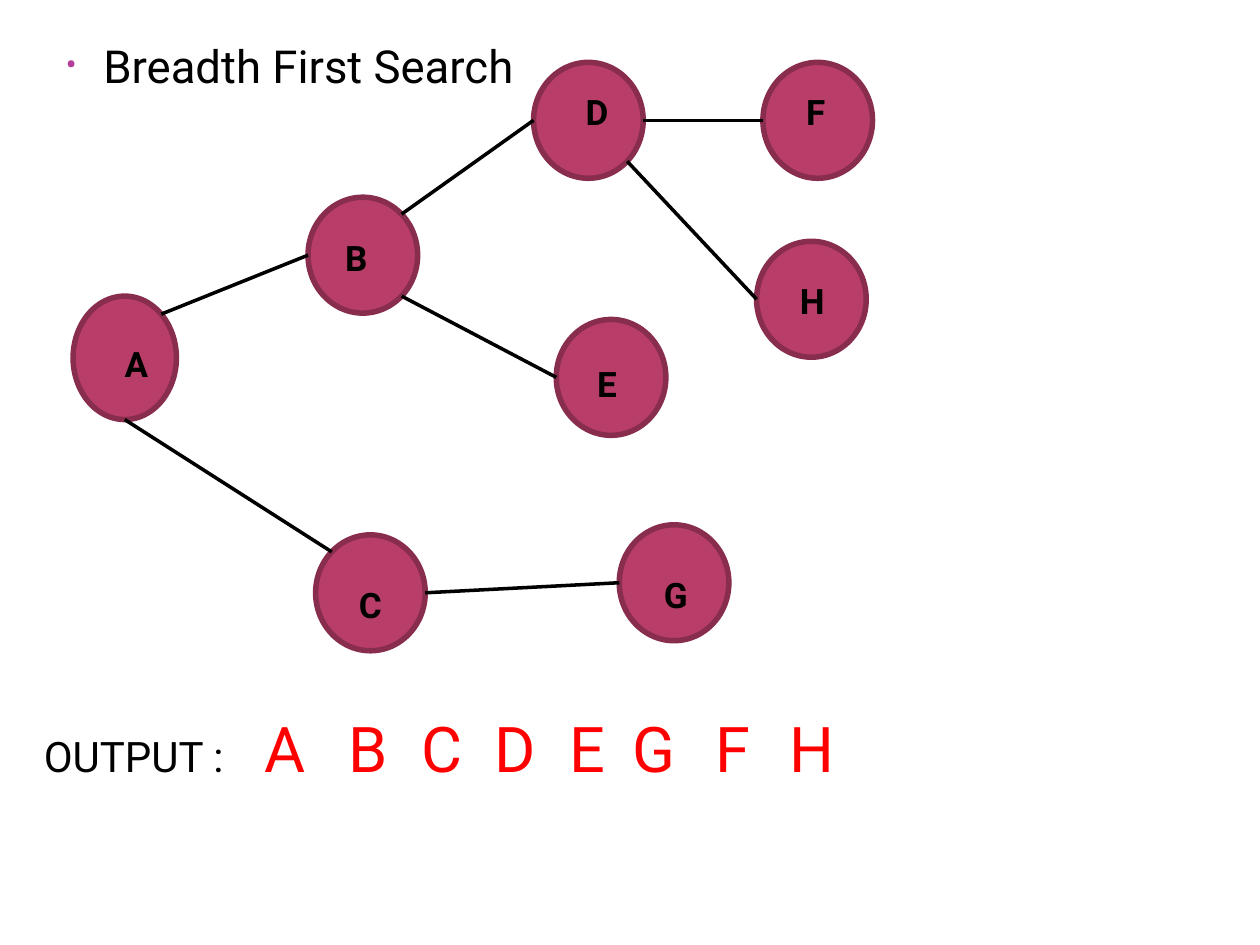
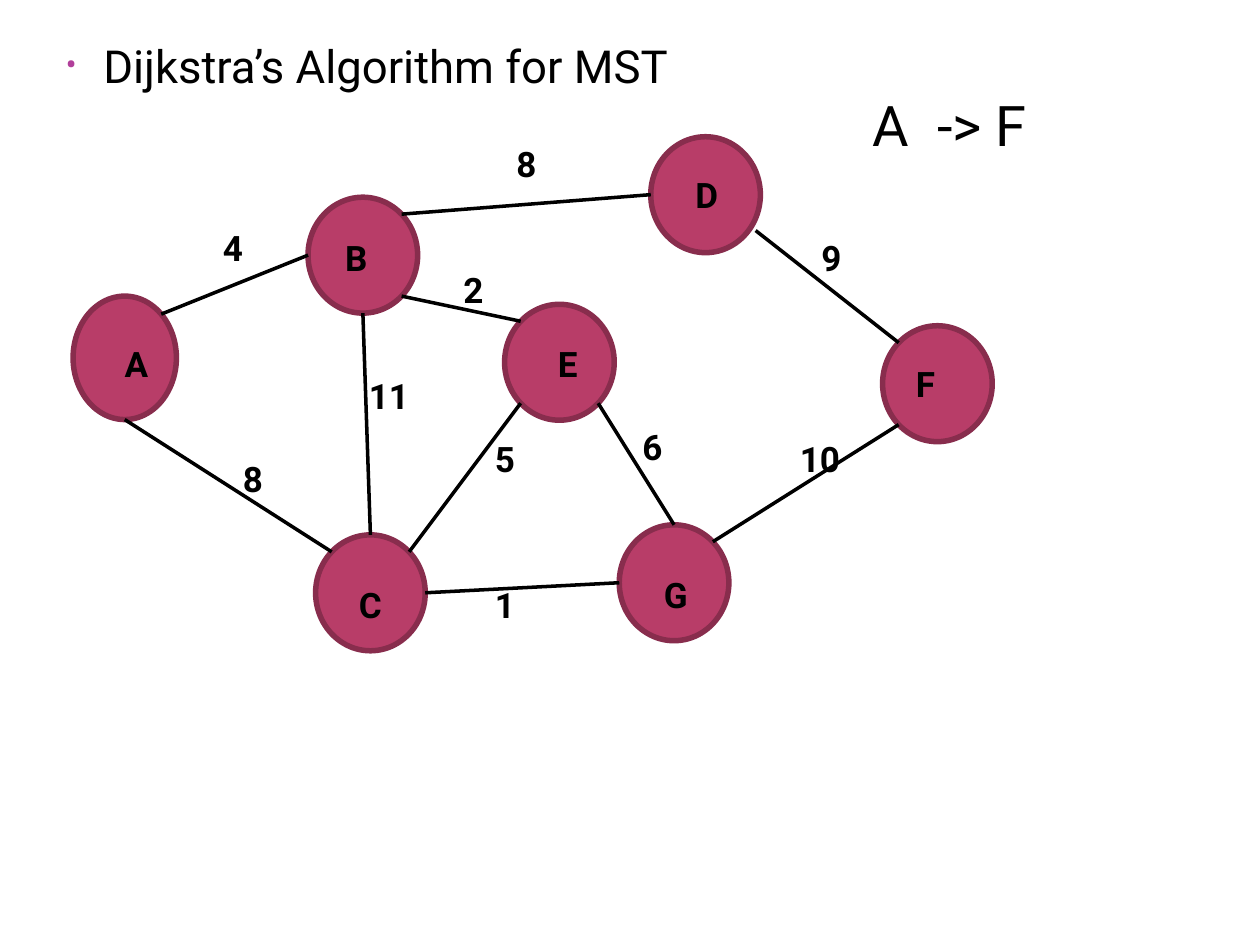
from dataclasses import dataclass
from math import copysign, sqrt

from lxml import etree
from pptx import Presentation
from pptx.dml.color import RGBColor
from pptx.enum.shapes import MSO_CONNECTOR, MSO_SHAPE
from pptx.enum.text import MSO_ANCHOR, MSO_AUTO_SIZE
from pptx.oxml.ns import qn
from pptx.util import Inches, Pt

ELLIPSE = MSO_SHAPE.OVAL
STRAIGHT = MSO_CONNECTOR.STRAIGHT
TOP = MSO_ANCHOR.TOP
NO_FIT = MSO_AUTO_SIZE.NONE
GROW = MSO_AUTO_SIZE.SHAPE_TO_FIT_TEXT

FONT = "Roboto"
COLORS = {
    "node": "B83D68",
    "rim": "882D4D",
    "ink": "000000",
    "bullet": "B13F9A",
    "visited": "FF0000",
}
SITES = {
    "N": (0, -1), "NE": (1, -1), "E": (1, 0), "SE": (1, 1),
    "S": (0, 1), "SW": (-1, 1), "W": (-1, 0), "NW": (-1, -1),
}


@dataclass(frozen=True)
class Node:
    left: float
    top: float
    label_left: float
    label_top: float
    width: float = 0.92
    height: float = 0.87
    rotation: int = 270

    def site(self, name: str) -> tuple[float, float]:
        dx, dy = SITES[name]
        reach = 0.5 / sqrt(abs(dx) + abs(dy))
        across, down = self.width, self.height
        if self.rotation:
            across, down = down, across
        return (self.left + self.width / 2 + copysign(reach, dx) * abs(dx) * across,
                self.top + self.height / 2 + copysign(reach, dy) * abs(dy) * down)


@dataclass(frozen=True)
class Edge:
    start: str
    start_site: str
    end: str
    end_site: str
    nudge: tuple[float, float] = (0, 0)


@dataclass(frozen=True)
class Label:
    text: str
    left: float
    top: float
    width: float = 0.37
    height: float = 0.44
    size: int = 20
    bold: bool = True
    color: str = "ink"
    wrap: bool = False


def rgb(name: str) -> RGBColor:
    return RGBColor.from_string(COLORS[name])


def style_text(p, size: int, color: str, bold: bool) -> None:
    for r in p.runs:
        r.font.name = FONT
        r.font.size = Pt(size)
        r.font.bold = bold
        r.font.color.rgb = rgb(color)


def add_bullet(p) -> None:
    pPr = p._p.get_or_add_pPr()
    pPr.set("marL", str(Inches(0.3)))
    pPr.set("indent", str(Inches(-0.3)))
    buClr = etree.SubElement(pPr, qn("a:buClr"))
    etree.SubElement(buClr, qn("a:srgbClr"), val=COLORS["bullet"])
    etree.SubElement(pPr, qn("a:buSzPct"), val="73000")
    etree.SubElement(pPr, qn("a:buFont"), typeface=FONT)
    etree.SubElement(pPr, qn("a:buChar"), char="•")


def add_topic_slide(prs, topic: str):
    s = prs.slides.add_slide(prs.slide_layouts[1])
    title = s.shapes.title._element
    title.getparent().remove(title)
    body = s.placeholders[1]
    body.left, body.top = Inches(0.42), Inches(0.25)
    body.width, body.height = Inches(6.92), Inches(6.81)
    tf = body.text_frame
    tf.text = topic
    tf.auto_size = NO_FIT
    tf.vertical_anchor = TOP
    p = tf.paragraphs[0]
    p.space_before = Pt(6)
    add_bullet(p)
    style_text(p, 26, "ink", False)
    return s


def add_label(s, label: Label) -> None:
    sp = s.shapes.add_textbox(Inches(label.left), Inches(label.top),
                              Inches(label.width), Inches(label.height))
    tf = sp.text_frame
    tf.text = label.text
    tf.word_wrap = label.wrap
    tf.auto_size = GROW
    style_text(tf.paragraphs[0], label.size, label.color, label.bold)


def add_node(s, node: Node) -> None:
    sp = s.shapes.add_shape(ELLIPSE, Inches(node.left), Inches(node.top),
                            Inches(node.width), Inches(node.height))
    sp.rotation = node.rotation
    sp.shadow.inherit = False
    sp.fill.solid()
    sp.fill.fore_color.rgb = rgb("node")
    sp.line.color.rgb = rgb("rim")
    sp.line.width = Pt(3.15)


def add_edge(s, nodes: dict[str, Node], edge: Edge) -> None:
    x1, y1 = nodes[edge.start].site(edge.start_site)
    x2, y2 = nodes[edge.end].site(edge.end_site)
    dx, dy = edge.nudge
    line = s.shapes.add_connector(STRAIGHT, Inches(x1 + dx), Inches(y1 + dy),
                                  Inches(x2), Inches(y2))
    line.line.color.rgb = rgb("ink")
    line.line.width = Pt(2)
    etree.SubElement(line._element.spPr, qn("a:effectLst"))


def add_graph(s, nodes: dict[str, Node], edges: list[Edge]) -> None:
    for node in nodes.values():
        add_node(s, node)
    for edge in edges:
        add_edge(s, nodes, edge)
    for name, node in nodes.items():
        add_label(s, Label(name, node.label_left, node.label_top))


SHARED_NODES = {
    "A": Node(0.58, 2.35, 0.89, 2.67, 0.82, 0.98, 0),
    "B": Node(2.42, 1.59, 2.64, 1.83),
    "C": Node(2.48, 4.27, 2.75, 4.58),
    "G": Node(4.89, 4.19, 5.17, 4.5),
}
SHARED_EDGES = [
    Edge("A", "NE", "B", "W"),
    Edge("A", "S", "C", "NW"),
    Edge("B", "NE", "D", "W"),
    Edge("C", "E", "G", "W"),
]

TREE_NODES = SHARED_NODES | {
    "D": Node(4.21, 0.52, 4.55, 0.67),
    "E": Node(4.39, 2.56, 4.64, 2.83),
    "F": Node(6.03, 0.52, 6.3, 0.67),
    "H": Node(5.98, 1.94, 6.25, 2.17),
}
TREE_EDGES = SHARED_EDGES + [
    Edge("B", "SE", "E", "W"),
    Edge("D", "E", "F", "W"),
    Edge("D", "SE", "H", "W"),
]
VISIT_LEFTS = {"A": 2, "B": 2.67, "C": 3.25, "D": 3.83,
               "E": 4.42, "G": 4.92, "F": 5.58, "H": 6.17}

WEIGHTED_NODES = SHARED_NODES | {
    "D": Node(5.14, 1.11, 5.42, 1.33),
    "E": Node(3.98, 2.44, 4.33, 2.67),
    "F": Node(6.98, 2.61, 7.17, 2.83),
}
WEIGHTED_EDGES = SHARED_EDGES + [
    Edge("B", "SE", "E", "NW"),
    Edge("B", "S", "C", "N"),
    Edge("C", "NE", "E", "SW"),
    Edge("E", "SE", "G", "N"),
    Edge("G", "NE", "F", "SW"),
    Edge("D", "SE", "F", "NW", (0.09, -0.04)),
]
WEIGHTS = [
    Label("4", 1.67, 1.75),
    Label("2", 3.58, 2.08),
    Label("8", 1.83, 3.58),
    Label("8", 4, 1.08),
    Label("6", 5, 3.33),
    Label("1", 3.83, 4.58),
    Label("9", 6.42, 1.83),
    Label("5", 3.83, 3.42),
    Label("10", 6.25, 3.42, 0.53),
    Label("11", 2.83, 2.92, 0.53),
]


def build_breadth_first(prs) -> None:
    s = add_topic_slide(prs, "Breadth First Search")
    add_graph(s, TREE_NODES, TREE_EDGES)
    add_label(s, Label("OUTPUT :", 0.25, 5.75, 1.66, 0.5, 24, False))
    for name, left in VISIT_LEFTS.items():
        add_label(s, Label(name, left, 5.58, 0.42, 0.71, 36, False, "visited", True))


def build_dijkstra(prs) -> None:
    s = add_topic_slide(prs, "Dijkstra’s Algorithm for MST")
    add_graph(s, WEIGHTED_NODES, WEIGHTED_EDGES)
    for weight in WEIGHTS:
        add_label(s, weight)
    add_label(s, Label("A  -> F", 6.83, 0.67, 1.48, 0.64, 32, False))


prs = Presentation()
prs.slide_width, prs.slide_height = Inches(10), Inches(7.5)
build_breadth_first(prs)
build_dijkstra(prs)
prs.save("out.pptx")
